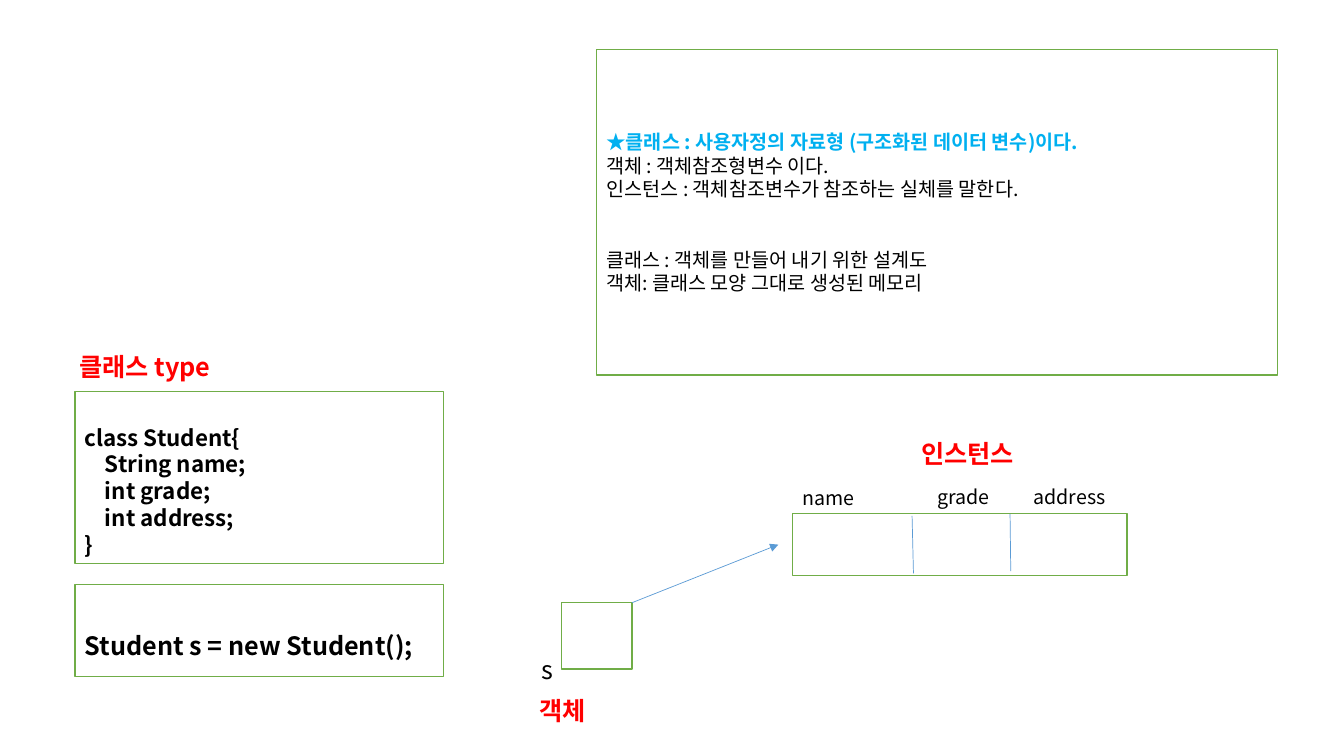
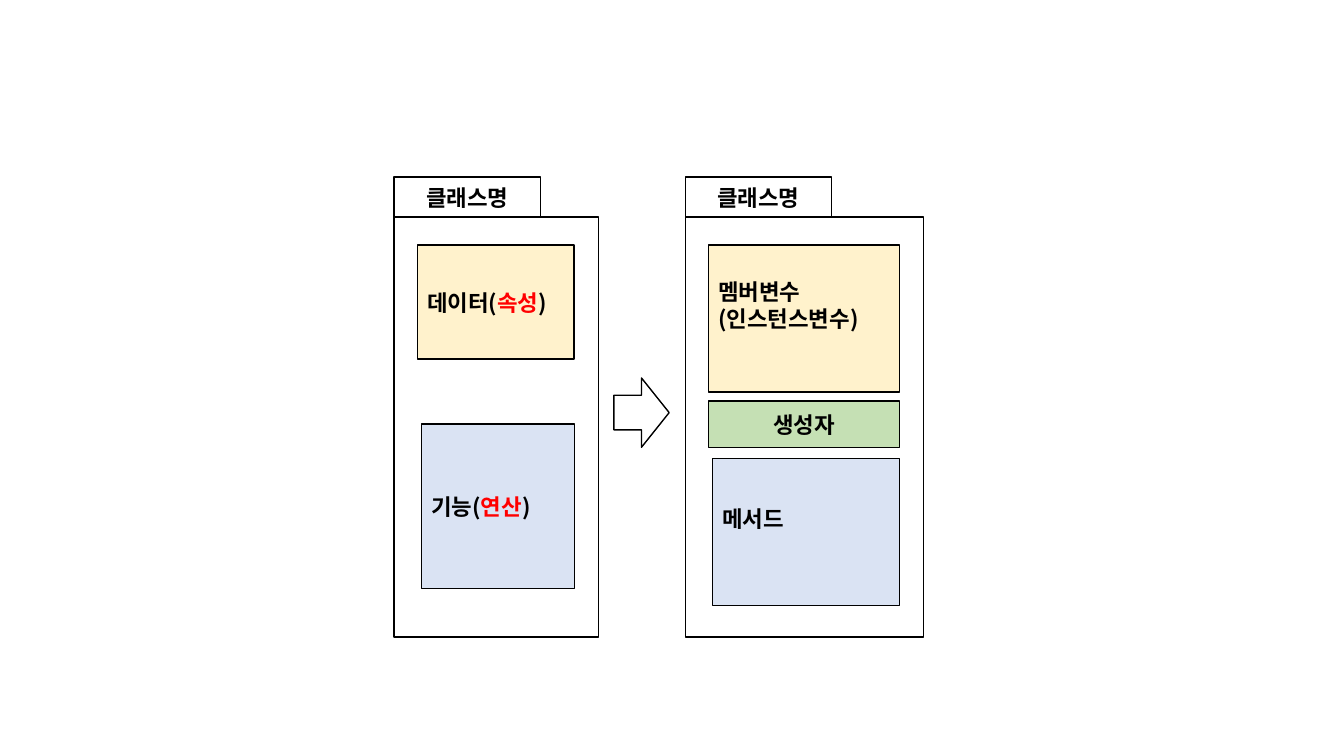
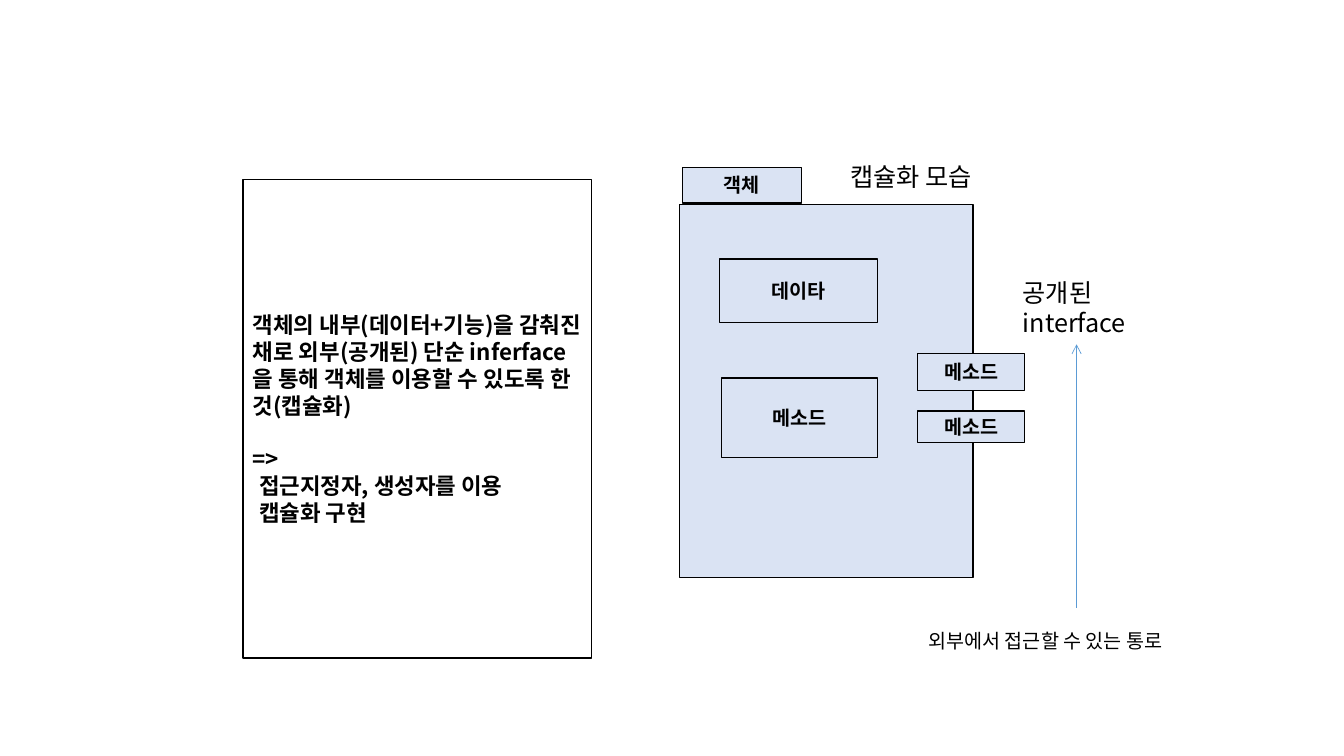
from lxml import etree
from pptx import Presentation
from pptx.dml.color import RGBColor
from pptx.enum.shapes import MSO_CONNECTOR, MSO_SHAPE
from pptx.enum.text import MSO_ANCHOR, PP_ALIGN
from pptx.oxml.ns import qn
from pptx.util import Pt

RECTANGLE = MSO_SHAPE.RECTANGLE
RIGHT_ARROW = MSO_SHAPE.RIGHT_ARROW
STRAIGHT = MSO_CONNECTOR.STRAIGHT
LEFT = PP_ALIGN.LEFT
CENTER = PP_ALIGN.CENTER
MIDDLE = MSO_ANCHOR.MIDDLE
TOP = MSO_ANCHOR.TOP

FONT = "Noto Sans CJK KR"
LINE_HEIGHT = 1.2
INSET = 3.6
COLORS = {
    "black": "000000",
    "white": "FFFFFF",
    "red": "FF0000",
    "sky": "00B0F0",
    "green": "70AD47",
    "blue": "5B9BD5",
    "cream": "FFF2CC",
    "pale blue": "DAE3F3",
    "pale green": "C5E0B4",
}


def write_text(shape, paragraphs, size, bold=False, align=LEFT, anchor=TOP,
               color="black", space_above=0, space_below=0):
    frame = shape.text_frame
    frame.word_wrap = True
    frame.vertical_anchor = anchor
    frame.margin_top = Pt(INSET + space_above)
    frame.margin_bottom = Pt(INSET + space_below)
    for index, (runs, indent, gap) in enumerate(paragraphs):
        paragraph = frame.paragraphs[0] if index == 0 else frame.add_paragraph()
        paragraph.alignment = align
        paragraph.line_spacing = Pt(size * LINE_HEIGHT)
        paragraph.space_before = Pt(gap)
        if indent:
            paragraph._p.get_or_add_pPr().set("marL", str(Pt(indent)))
        for text, run_color in runs:
            run = paragraph.add_run()
            run.text = text
            run.font.size = Pt(size)
            run.font.bold = bold
            run.font.name = FONT
            run.font.color.rgb = RGBColor.from_string(COLORS[run_color or color])
            east_asian = etree.SubElement(run._r.get_or_add_rPr(), qn("a:ea"))
            east_asian.set("typeface", FONT)


def add_box(slide, place, fill="white", line="black", kind=RECTANGLE):
    shape = slide.shapes.add_shape(kind, *[Pt(value) for value in place])
    shape.shadow.inherit = False
    if fill:
        shape.fill.solid()
        shape.fill.fore_color.rgb = RGBColor.from_string(COLORS[fill])
    else:
        shape.fill.background()
    shape.line.color.rgb = RGBColor.from_string(COLORS[line])
    shape.line.width = Pt(1)
    return shape


presentation = Presentation()
presentation.slide_width = Pt(960)
presentation.slide_height = Pt(540)
blank_layout = presentation.slide_layouts[6]
instance_slide, class_slide, capsule_slide = [
    presentation.slides.add_slide(blank_layout) for _ in range(3)
]

definitions = add_box(instance_slide, (426, 35.5, 486.5, 232.5), line="green")
write_text(definitions, [
    ([("★클래스 : 사용자정의 자료형 (구조화된 데이터 변수)이다.", "sky")], 0, 0),
], 14, bold=True, anchor=MIDDLE)
definition_lines = [
    ("객체 : 객체참조형변수 이다.", 0),
    ("인스턴스 : 객체참조변수가 참조하는 실체를 말한다.", 0),
    ("클래스 : 객체를 만들어 내기 위한 설계도", 2 * 14 * LINE_HEIGHT),
    ("객체: 클래스 모양 그대로 생성된 메모리", 0),
]
write_text(definitions, [
    ([("★클래스 : 사용자정의 자료형 (구조화된 데이터 변수)이다.", "sky")], 0, 0),
][:0] + [([], 0, 0)] + [([(text, None)], 0, gap) for text, gap in definition_lines],
    14, anchor=MIDDLE)

creation_code = add_box(instance_slide, (53.5, 417.5, 263.5, 66), line="green")
write_text(creation_code, [([("Student s = new Student();", None)], 0, 0)],
           18, bold=True, anchor=MIDDLE, space_above=18 * LINE_HEIGHT)

class_code = add_box(instance_slide, (53.5, 279.5, 263.5, 123), line="green")
code_lines = [("class Student{", 0), ("String name;", 14.4), ("int grade;", 14.4),
              ("int address;", 14.4), ("}", 0)]
write_text(class_code, [([(text, None)], indent, 0) for text, indent in code_lines],
           16, bold=True, anchor=MIDDLE, space_above=16 * LINE_HEIGHT)

for place in [(401, 430.5, 50.5, 47.5), (566, 367, 239, 44)]:
    add_box(instance_slide, place, line="green")

for left, body_width in [(281.5, 146), (489.5, 170)]:
    add_box(class_slide, (left, 155, body_width, 300))
    name_tab = add_box(class_slide, (left, 126.5, 104.5, 28.5))
    write_text(name_tab, [([("클래스명", None)], 0, 0)], 16, bold=True,
               align=CENTER, anchor=MIDDLE)

class_parts = [
    ((298, 175, 112, 81.5), "cream", LEFT, 0,
     [[("데이터(", None), ("속성", "red"), (")", None)]]),
    ((301, 303, 109.5, 117.5), "pale blue", LEFT, 0,
     [[("기능(", None), ("연산", "red"), (")", None)]]),
    ((506, 175, 136.5, 105), "cream", LEFT, 1,
     [[("멤버변수", None)], [("(인스턴스변수)", None)]]),
    ((509, 327.5, 133.5, 105), "pale blue", LEFT, 1, [[("메서드", None)]]),
    ((506, 286.5, 136.5, 33), "pale green", CENTER, 0, [[("생성자", None)]]),
]
for place, fill, align, lines_below, lines in class_parts:
    part = add_box(class_slide, place, fill)
    write_text(part, [(runs, 0, 0) for runs in lines], 16, bold=True, align=align,
               anchor=MIDDLE, space_below=lines_below * 16 * LINE_HEIGHT)
add_box(class_slide, (438.5, 270, 39.5, 49.5), kind=RIGHT_ARROW)

explanation = add_box(capsule_slide, (173.5, 128, 249, 342), fill=None)
explanation_lines = [
    ("객체의 내부(데이터+기능)을 감춰진 채로 외부(공개된) 단순 inferface을 통해 "
     "객체를 이용할 수 있도록 한 것(캡슐화)", 0, 0),
    ("=>", 0, 16 * LINE_HEIGHT),
    ("접근지정자, 생성자를 이용", 4.5, 0),
    ("캡슐화 구현", 4.5, 0),
]
write_text(explanation,
           [([(text, None)], indent, gap) for text, indent, gap in explanation_lines],
           16, bold=True, anchor=MIDDLE)

add_box(capsule_slide, (485.5, 146, 209.5, 266.5), "pale blue")
capsule_parts = [
    ("객체", (487.5, 119.5, 85, 25.5)),
    ("데이타", (514, 185, 113, 45.5)),
    ("메소드", (515.5, 270, 111.5, 57)),
    ("메소드", (655.5, 293.5, 76.5, 22.5)),
    ("메소드", (655.5, 252.5, 76.5, 26.5)),
]
for text, place in capsule_parts:
    part = add_box(capsule_slide, place, "pale blue")
    write_text(part, [([(text, None)], 0, 0)], 14, bold=True, align=CENTER,
               anchor=MIDDLE)

labels = [
    (instance_slide, "s", (379.5, 463.5, 44, 29), 18, False, "black"),
    (instance_slide, "name", (566, 343.5, 87, 24.5), 14, False, "black"),
    (instance_slide, "grade", (662.5, 342.5, 87, 24.5), 14, False, "black"),
    (instance_slide, "address", (731, 342.5, 87, 24.5), 14, False, "black"),
    (instance_slide, "클래스 type", (49.5, 247.5, 181, 29), 18, True, "red"),
    (instance_slide, "객체", (378, 493, 91, 29), 18, True, "red"),
    (instance_slide, "인스턴스", (651, 309.5, 91, 29), 18, True, "red"),
    (capsule_slide, "공개된 interface", (723.5, 194.5, 96.5, 51), 18, False, "black"),
    (capsule_slide, "캡슐화 모습", (600.5, 111.5, 150.5, 29), 18, False, "black"),
    (capsule_slide, "외부에서 접근할 수 있는 통로", (656, 445.5, 212.5, 24.5), 14, False,
     "black"),
]
for slide, text, place, size, bold, color in labels:
    label = slide.shapes.add_textbox(*[Pt(value) for value in place])
    write_text(label, [([(text, None)], 0, 0)], size, bold=bold, color=color)

connectors = [
    (instance_slide, (451.5, 430.5, 556, 389), "triangle"),
    (instance_slide, (651.5, 368.5, 652.5, 409.5), None),
    (instance_slide, (721.5, 367, 722, 408), None),
    (capsule_slide, (769, 434, 769, 246), "arrow"),
]
for slide, ends, arrowhead in connectors:
    connector = slide.shapes.add_connector(STRAIGHT, *[Pt(value) for value in ends])
    connector.line.color.rgb = RGBColor.from_string(COLORS["blue"])
    connector.line.width = Pt(0.5)
    if arrowhead:
        tail = etree.SubElement(connector.line._get_or_add_ln(), qn("a:tailEnd"))
        tail.set("type", arrowhead)
    etree.SubElement(connector._element.spPr, qn("a:effectLst"))

presentation.save("out.pptx")
